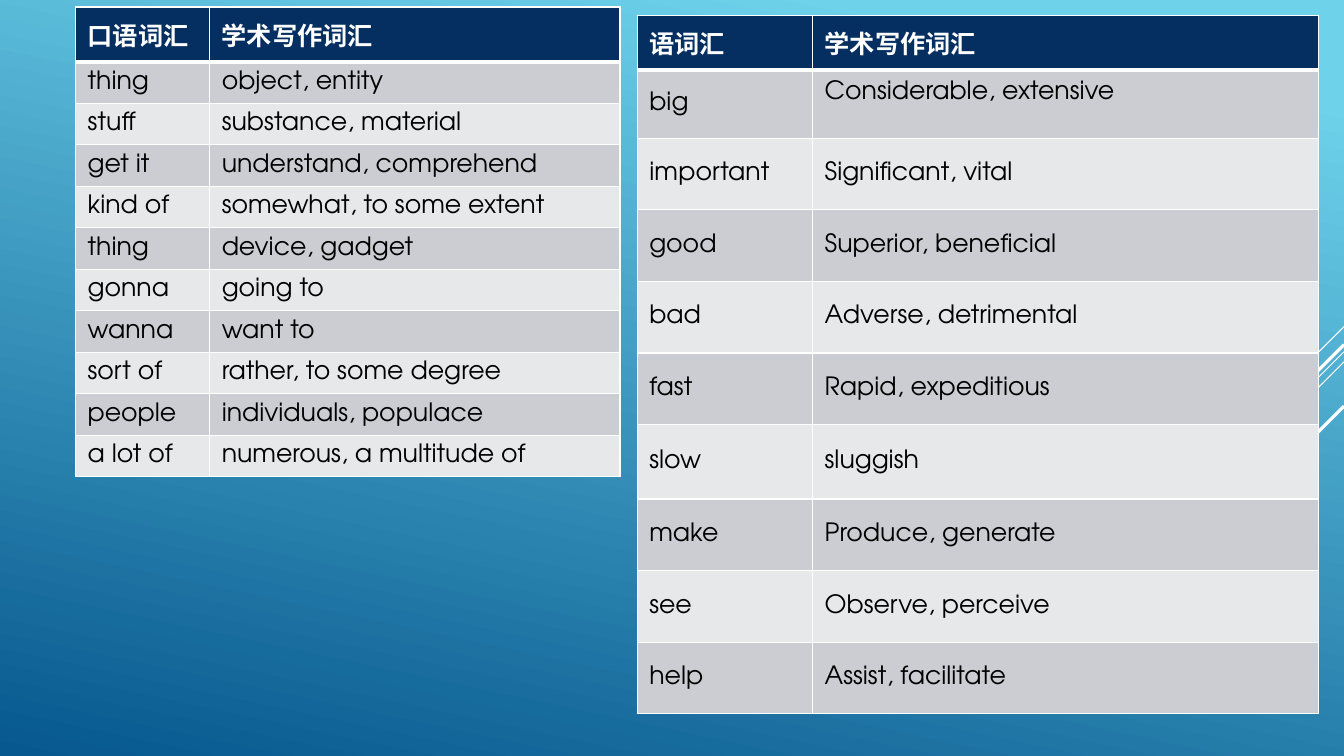
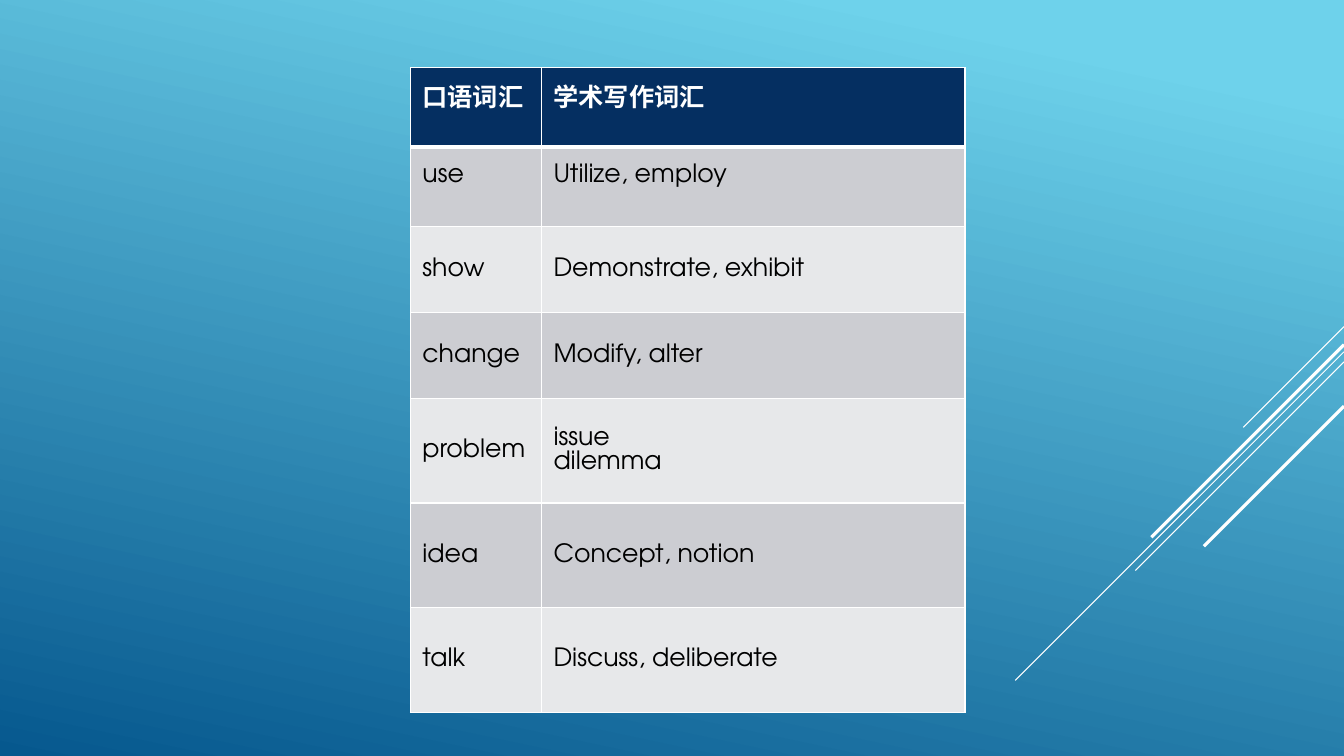
from lxml.etree import SubElement
from pptx import Presentation
from pptx.dml.color import RGBColor
from pptx.enum.shapes import MSO_CONNECTOR
from pptx.enum.text import MSO_ANCHOR
from pptx.oxml.ns import qn
from pptx.util import Inches, Pt

FONT = "TeX Gyre Adventor"
WHITE, BLACK, NAVY = "FFFFFF", "000000", "052F61"
BANDS = ("CCCDD2", "E7E8EA")
SKY, OCEAN = "6ED2EB", "06588E"
WIDTH, HEIGHT = 13.33, 7.5
INSET_X, INSET_Y, RAISED_BOTTOM = 0.12, 0.09, 0.32
DIAGONALS = [(3.24, 1, 0.75), (3.49, 3.26, 0.75), (3.59, 2.07, 0.75),
             (3.42, 1.91, 2.25), (4.03, 1.39, 2.25)]

EVERYDAY = [
    ("口语词汇", "学术写作词汇"),
    ("thing", "object, entity"),
    ("stuff", "substance, material"),
    ("get it", "understand, comprehend"),
    ("kind of", "somewhat, to some extent"),
    ("thing", "device, gadget"),
    ("gonna", "going to"),
    ("wanna", "want to"),
    ("sort of", "rather, to some degree"),
    ("people", "individuals, populace"),
    ("a lot of", "numerous, a multitude of"),
]
DESCRIPTIVE = [
    ("语词汇", "学术写作词汇"),
    ("big", "Considerable, extensive"),
    ("important", "Significant, vital"),
    ("good", "Superior, beneficial"),
    ("bad", "Adverse, detrimental"),
    ("fast", "Rapid, expeditious"),
    ("slow", "sluggish"),
    ("make", "Produce, generate"),
    ("see", "Observe, perceive"),
    ("help", "Assist, facilitate"),
]
ACTIONS = [
    ("口语词汇", "学术写作词汇"),
    ("use", "Utilize, employ"),
    ("show", "Demonstrate, exhibit"),
    ("change", "Modify, alter"),
    ("problem", "issue\ndilemma"),
    ("idea", "Concept, notion"),
    ("talk", "Discuss, deliberate"),
]


def rgb(value):
    """Return the colour for a hex string."""
    return RGBColor.from_string(value)


def set_background(master):
    """Give the master its diagonal gradient."""
    fill = master.background.fill
    fill.gradient()
    fill.gradient_angle = 258
    for stop, color, position in zip(fill.gradient_stops, (SKY, OCEAN), (0.1, 1)):
        stop.color.rgb = rgb(color)
        stop.position = position


def add_diagonals(slide, master):
    """Draw the 45-degree strokes and move them to the master."""
    for i, (top, reach, weight) in enumerate(DIAGONALS):
        line = slide.shapes.add_connector(
            MSO_CONNECTOR.STRAIGHT, Inches(WIDTH), Inches(top),
            Inches(WIDTH - reach), Inches(top + reach))
        line.line.color.rgb = rgb(WHITE)
        line.line.width = Pt(weight)
        SubElement(line.element.spPr, qn("a:effectLst"))
        line.element.xpath("./p:nvCxnSpPr/p:cNvPr")[0].set("id", str(100 + i))
        master.shapes.element.append(line.element)


def set_borders(cell, top, bottom):
    """Rule all four sides of a cell in white."""
    tc_pr = cell._tc.get_or_add_tcPr()
    for side, weight in (("L", 1), ("R", 1), ("T", top), ("B", bottom)):
        ln = SubElement(tc_pr, qn(f"a:ln{side}"), w=str(Pt(weight)))
        fill = SubElement(ln, qn("a:solidFill"))
        SubElement(fill, qn("a:srgbClr"), val=WHITE)


def fill_cell(cell, text, row, raised):
    """Style a cell for its row and write its text."""
    header = row == 0
    set_borders(cell, 3 if row == 1 else 1, 3 if header else 1)
    cell.fill.solid()
    cell.fill.fore_color.rgb = rgb(NAVY if header else BANDS[(row - 1) % 2])
    cell.vertical_anchor = MSO_ANCHOR.MIDDLE
    cell.margin_left = cell.margin_right = Inches(INSET_X)
    cell.margin_top = Inches(INSET_Y)
    cell.margin_bottom = Inches(RAISED_BOTTOM if raised else INSET_Y)
    tf = cell.text_frame
    for i, words in enumerate(text.split("\n")):
        p = tf.add_paragraph() if i else tf.paragraphs[0]
        if not header:
            p.line_spacing = Pt(16.7)
        r = p.add_run()
        r.text = words
        r.font.name = FONT
        r.font.size = Pt(18)
        r.font.bold = header
        r.font.color.rgb = rgb(WHITE if header else BLACK)


def add_word_table(slide, left, top, widths, heights, rows, raised=()):
    """Add a two-column vocabulary table; raised lists the (row, column) cells set higher."""
    table = slide.shapes.add_table(
        len(rows), len(widths), Inches(left), Inches(top),
        Inches(sum(widths)), Inches(sum(heights))).table
    table.horz_banding = False
    for column, width in zip(table.columns, widths):
        column.width = Inches(width)
    for i, (words, height) in enumerate(zip(rows, heights)):
        table.rows[i].height = Inches(height)
        for j, text in enumerate(words):
            fill_cell(table.cell(i, j), text, i, (i, j) in raised)


def main():
    """Build the two vocabulary slides."""
    prs = Presentation()
    prs.slide_width, prs.slide_height = Inches(WIDTH), Inches(HEIGHT)
    blank = prs.slide_layouts[6]
    first, second = (prs.slides.add_slide(blank) for _ in range(2))
    set_background(prs.slide_master)
    add_diagonals(first, prs.slide_master)
    add_word_table(first, 0.75, 0.07, (1.33, 4.07), [0.54] + [0.41] * 10, EVERYDAY)
    add_word_table(first, 6.32, 0.15, (1.74, 5.02),
                   [0.54, 0.68] + [0.71] * 4 + [0.74] + [0.71] * 3,
                   DESCRIPTIVE, raised={(1, 1)})
    add_word_table(second, 4.07, 0.67, (1.3, 4.2),
                   [0.79] * 2 + [0.85] * 2 + [1.04] * 3,
                   ACTIONS, raised={(0, 0), (0, 1), (1, 0), (1, 1)})
    prs.save("out.pptx")


if __name__ == "__main__":
    main()
